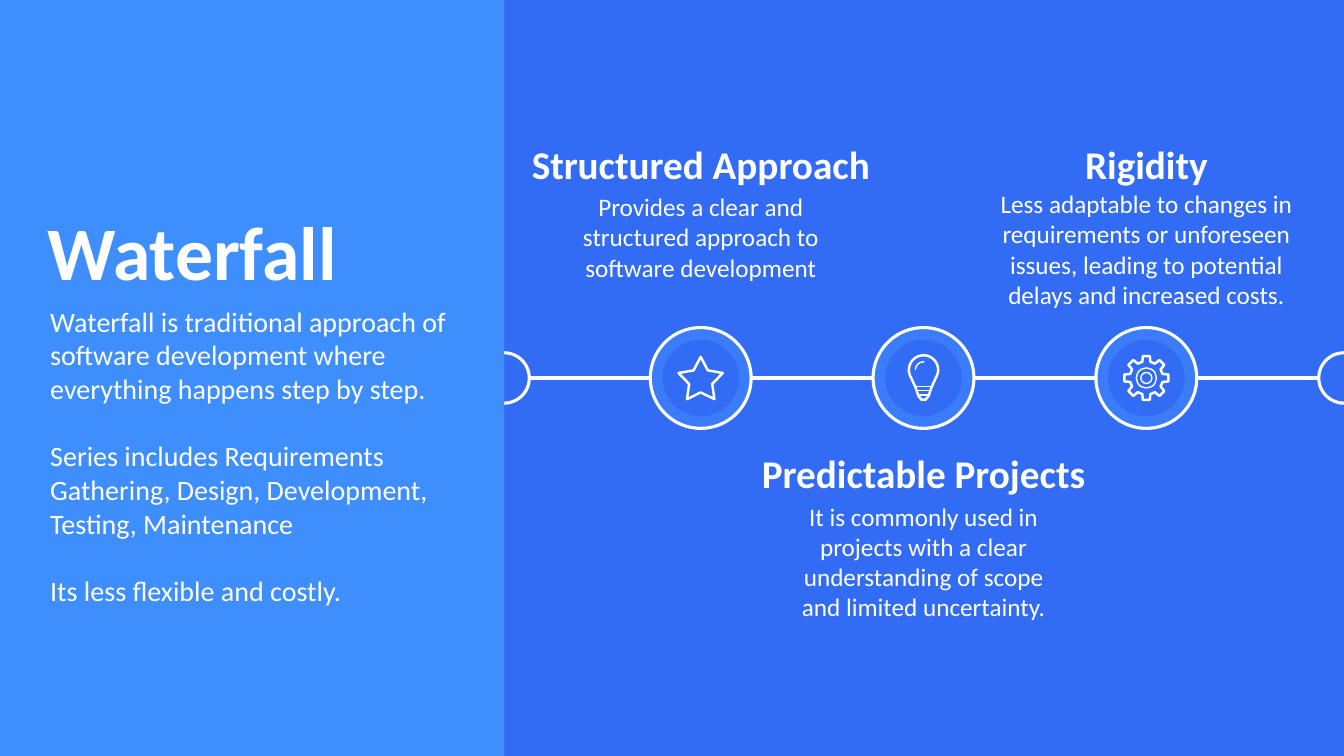
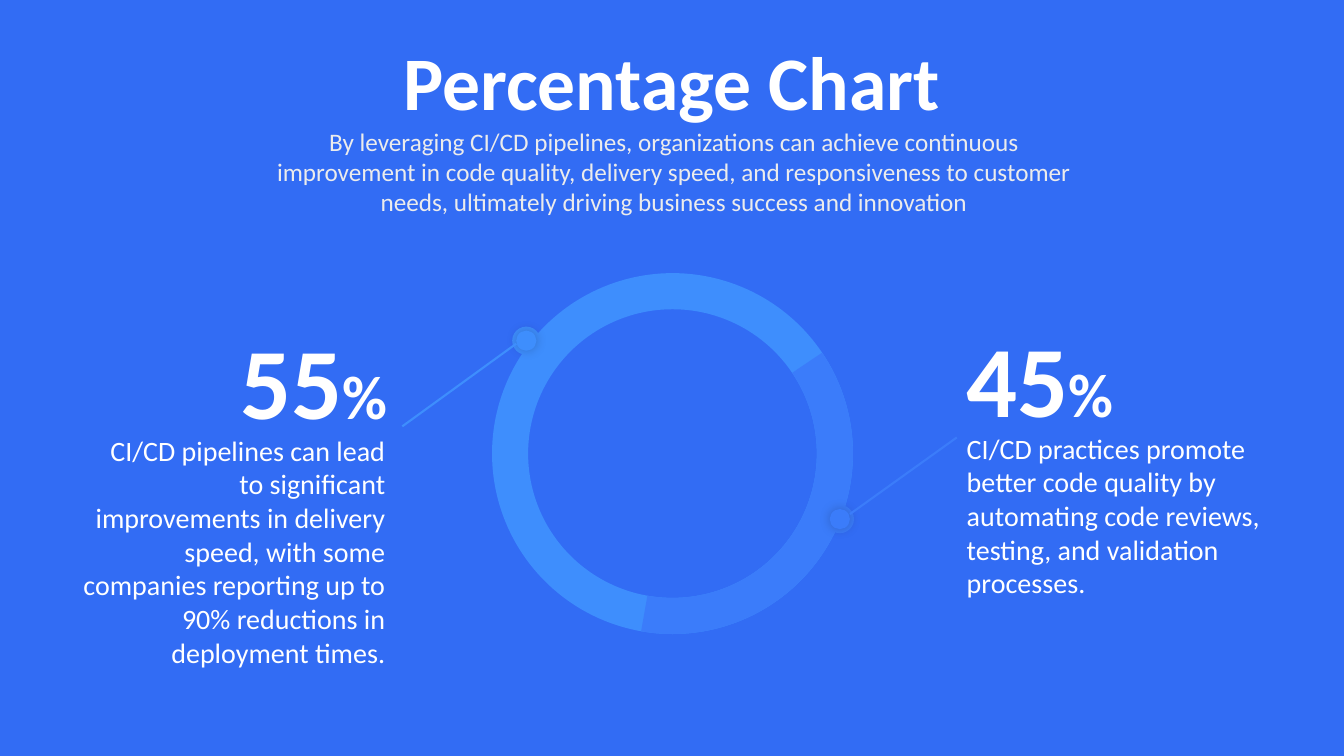
from math import cos, radians, sin

from lxml.etree import SubElement
from pptx import Presentation
from pptx.dml.color import RGBColor
from pptx.enum.shapes import MSO_CONNECTOR, MSO_SHAPE
from pptx.enum.text import MSO_ANCHOR, MSO_AUTO_SIZE, PP_ALIGN
from pptx.oxml.ns import qn
from pptx.util import Emu, Pt

PX = 9144  # EMU per px, 100 px to the inch
SLIDE_WIDTH, SLIDE_HEIGHT = 1333, 750
FONT = "Calibri"
BLUE, SKY, AZURE = "326CF4", "3E8EFD", "3B7CFA"
WHITE, PALE = "FFFFFF", "ECECEC"
LEFT, CENTER, RIGHT = PP_ALIGN.LEFT, PP_ALIGN.CENTER, PP_ALIGN.RIGHT

WATERFALL = [
    "Waterfall is traditional approach of software development where everything happens step by step.",
    "Series includes Requirements Gathering, Design, Development, Testing, Maintenance",
    "Its less flexible and costly.",
]
# heading, text, heading top, text top, text width
STEPS = [
    ("Structured Approach", "Provides a clear and structured approach to software development",
     134, 185, 289),
    ("Predictable Projects", "It is commonly used in projects with a clear understanding of scope "
     "and limited uncertainty.", 441, 492, 289),
    ("Rigidity", "Less adaptable to changes in requirements or unforeseen issues, leading to "
     "potential delays and increased costs.", 134, 182, 327),
]
PANEL_WIDTH = 500
AXIS, FIRST_STEP, STEP_PITCH = 375, 695, 221
STEP_SIZE, CORE_SIZE, END_SIZE = 100, 76, 50

PIPELINES = ("By leveraging CI/CD pipelines, organizations can achieve continuous improvement in code "
             "quality, delivery speed, and responsiveness to customer needs, ultimately driving "
             "business success and innovation")
RING = (488, 271, 358, 358)
ARC_START, ARC_END, RING_THICKNESS = 326, 100, 0.1
SHARES = [
    dict(number="45", color=AZURE, align=LEFT, dot=(833, 515), start=(843, 510), end=(949, 434),
         number_box=(949, 309, 363, 131), text_box=(949, 423, 320, 178),
         text="CI/CD practices promote better code quality by automating code reviews, testing, "
              "and validation processes."),
    dict(number="55", color=SKY, align=RIGHT, dot=(522, 338), start=(512, 341), end=(399, 423),
         number_box=(31, 311, 363, 131), text_box=(72, 425, 320, 212),
         text="CI/CD pipelines can lead to significant improvements in delivery speed, with some "
              "companies reporting up to 90% reductions in deployment times."),
]


def rgb(color):
    return RGBColor.from_string(color)


def emu(*lengths):
    return [Emu(round(length * PX)) for length in lengths]


def paint(shape, fill=None, line=None, weight=2.25):
    shape.shadow.inherit = False
    if fill:
        shape.fill.solid()
        shape.fill.fore_color.rgb = rgb(fill)
    else:
        shape.fill.background()
    if line:
        shape.line.color.rgb = rgb(line)
        shape.line.width = Pt(weight)
        SubElement(shape.line._get_or_add_ln(), qn("a:round"))
    else:
        shape.line.fill.background()
    return shape


def add_preset(page, preset, box, **style):
    return paint(page.shapes.add_shape(preset, *emu(*box)), **style)


def add_circle(page, center, size, **style):
    x, y = center
    box = (x - size / 2, y - size / 2, size, size)
    return add_preset(page, MSO_SHAPE.OVAL, box, **style)


def add_line(page, start, end, color=WHITE, weight=2.25):
    line = page.shapes.add_connector(MSO_CONNECTOR.STRAIGHT, *emu(*start, *end))
    line.line.color.rgb = rgb(color)
    line.line.width = Pt(weight)
    SubElement(line._element.spPr, qn("a:effectLst"))


def add_outline(page, points, close, weight):
    first, *others = [emu(*point) for point in points]
    builder = page.shapes.build_freeform(*first, scale=1.0)
    builder.add_line_segments(others, close=close)
    paint(builder.convert_to_shape(), line=WHITE, weight=weight)


def polar(center, radius, degrees):
    angle = radians(degrees)
    return center[0] + radius * cos(angle), center[1] + radius * sin(angle)


def fill_text(shape, paragraphs, size, align=LEFT, color=WHITE, bold=False, gap=0):
    frame = shape.text_frame
    frame.word_wrap = True
    frame.auto_size = MSO_AUTO_SIZE.NONE
    frame.vertical_anchor = MSO_ANCHOR.TOP
    frame.text = "\n".join(paragraphs)
    for index, para in enumerate(frame.paragraphs):
        para.alignment = align
        para.space_before = Pt(gap if index else 0)
        for span in para.runs:
            span.font.name, span.font.size, span.font.bold = FONT, Pt(size), bold
            span.font.color.rgb = rgb(color)
    return frame


def add_text(page, box, paragraphs, size, **style):
    return fill_text(page.shapes.add_textbox(*emu(*box)), paragraphs, size, **style)


def set_title(page, text, box, align):
    """Fill the title placeholder and bring it in front of the shapes drawn so far."""
    title = page.shapes.title
    title.left, title.top, title.width, title.height = emu(*box)
    fill_text(title, [text], 54, align=align, bold=True)
    page.shapes._spTree.append(title._element)


def add_glow(shape):
    """Soft black shadow all round the shape."""
    effects = shape._element.spPr.find(qn("a:effectLst"))
    shadow = SubElement(effects, qn("a:outerShdw"), blurRad=str(Pt(8)), dist="0", dir="0",
                        algn="ctr", rotWithShape="0")
    black = SubElement(shadow, qn("a:srgbClr"), val="000000")
    SubElement(black, qn("a:alpha"), val="20000")


def add_star_icon(page, center):
    x, y = center
    star = add_preset(page, MSO_SHAPE.STAR_5_POINT, (x - 22, y - 21, 44, 42),
                      line=WHITE, weight=1.75)
    star.adjustments[0] = 0.26


def add_bulb_icon(page, center):
    x, y = center
    middle = (x, y - 8)
    glass = [polar(middle, 14.5, degrees) for degrees in range(150, 391, 8)]
    socket = [(8, 9), (5, 18), (2, 21.5), (-2, 21.5), (-5, 18), (-8, 9)]
    add_outline(page, glass + [(x + dx, y + dy) for dx, dy in socket], True, 1.75)
    add_outline(page, [polar(middle, 8, degrees) for degrees in range(180, 276, 5)], False, 1)
    for half, drop in ((7, 8.5), (6, 12.5), (5, 16.5)):
        add_line(page, (x - half, y + drop), (x + half, y + drop), weight=1.25)


def add_gear_icon(page, center):
    tooth = [(16.5, -14), (22, -9), (22, 9), (16.5, 14)]
    points = [polar(center, radius, turn + offset)
              for turn in range(0, 360, 45) for radius, offset in tooth]
    add_outline(page, points, True, 1.75)
    for size in (20, 11):
        add_circle(page, center, size, line=WHITE, weight=1)


def build_waterfall(page):
    centers = [FIRST_STEP + STEP_PITCH * index for index in range(len(STEPS))]
    stops = [(PANEL_WIDTH, END_SIZE), *((x, STEP_SIZE) for x in centers), (SLIDE_WIDTH, END_SIZE)]
    for (x, size), (next_x, next_size) in zip(stops, stops[1:]):
        add_line(page, (x + size / 2, AXIS), (next_x - next_size / 2, AXIS))
    for x, size in stops:
        add_circle(page, (x, AXIS), size, fill=AZURE if size == STEP_SIZE else BLUE, line=WHITE)
    add_preset(page, MSO_SHAPE.RECTANGLE, (0, 0, PANEL_WIDTH, SLIDE_HEIGHT), fill=SKY)
    set_title(page, "Waterfall", (37, 198, 371, 101), LEFT)
    add_text(page, (40, 297, 414, 313), WATERFALL, 20, gap=24)

    icons = (add_star_icon, add_bulb_icon, add_gear_icon)
    for x, add_icon, (heading, text, heading_top, text_top, width) in zip(centers, icons, STEPS):
        add_circle(page, (x, AXIS), CORE_SIZE, fill=BLUE)
        add_icon(page, (x, AXIS))
        add_text(page, (x - 201, heading_top, 402, 57), [heading], 28, align=CENTER, bold=True)
        add_text(page, (x - width / 2, text_top, width, 131), [text], 18, align=CENTER)


def build_percentages(page):
    set_title(page, "Percentage Chart", (299, 30, 734, 101), CENTER)
    add_text(page, (252, 120, 833, 101), [PIPELINES], 18, align=CENTER, color=PALE)
    ring = add_preset(page, MSO_SHAPE.DONUT, RING, fill=SKY)
    ring.adjustments[0] = RING_THICKNESS
    arc = add_preset(page, MSO_SHAPE.BLOCK_ARC, RING, fill=AZURE)
    # Angles are stored as 60000ths of a degree, adjustments as 100000ths
    arc.adjustments[0] = ARC_START * 0.6
    arc.adjustments[1] = ARC_END * 0.6
    arc.adjustments[2] = RING_THICKNESS
    for share in SHARES:
        color, align = share["color"], share["align"]
        add_circle(page, share["dot"], 28, fill=color)
        add_glow(add_circle(page, share["dot"], 20, fill=color))
        add_line(page, share["start"], share["end"], color, 1.5)
        frame = add_text(page, share["number_box"], [share["number"]], 72, align=align, bold=True)
        percent = frame.paragraphs[0].add_run()
        percent.text = "%"
        percent.font.name, percent.font.size, percent.font.bold = FONT, Pt(44), True
        percent.font.color.rgb = rgb(WHITE)
        add_text(page, share["text_box"], [share["text"]], 20, align=align)


def main():
    deck = Presentation()
    deck.slide_width, deck.slide_height = emu(SLIDE_WIDTH, SLIDE_HEIGHT)
    backdrop = deck.slide_master.background.fill
    backdrop.solid()
    backdrop.fore_color.rgb = rgb(BLUE)
    for build in (build_waterfall, build_percentages):
        build(deck.slides.add_slide(deck.slide_layouts[5]))
    deck.save("out.pptx")


if __name__ == "__main__":
    main()
